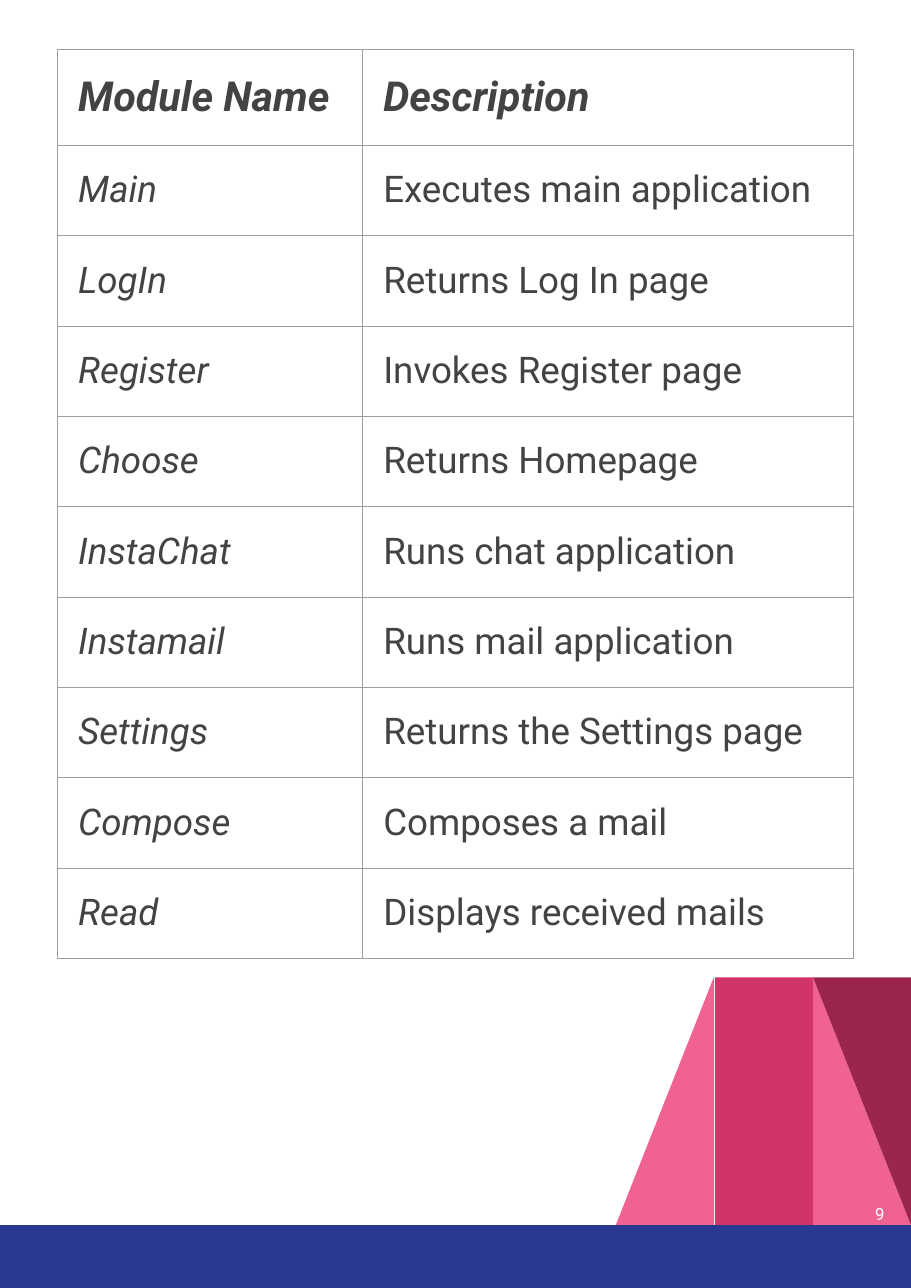
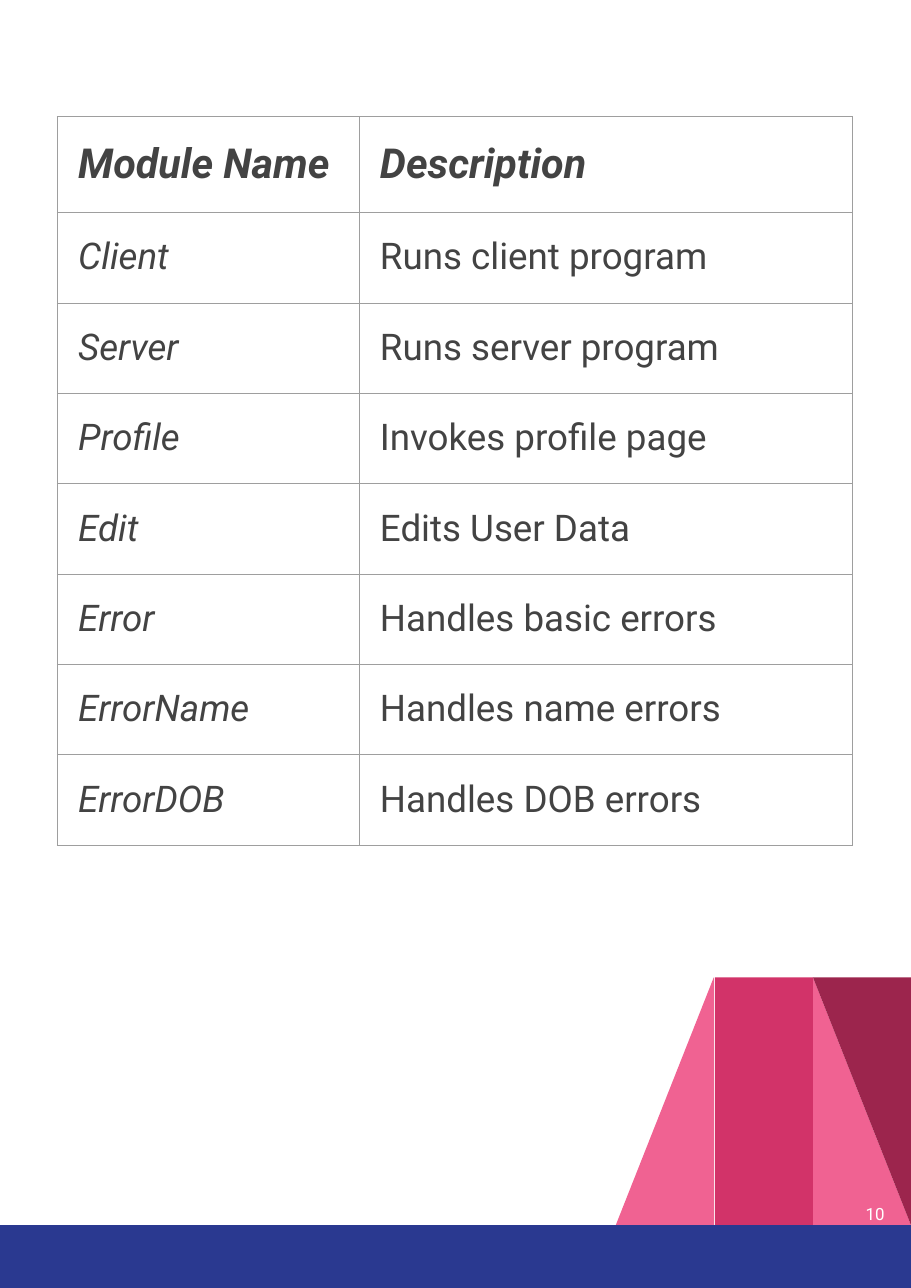
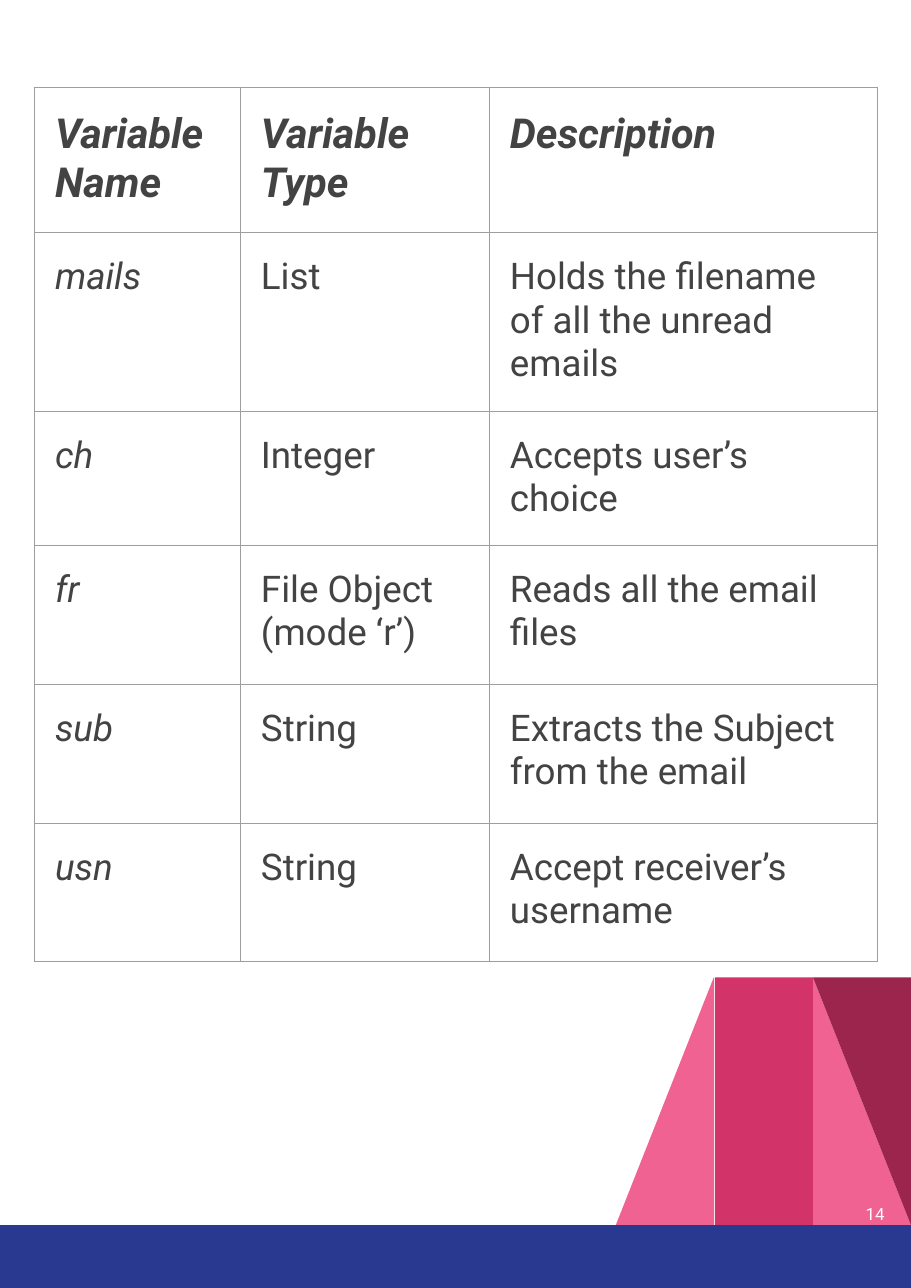
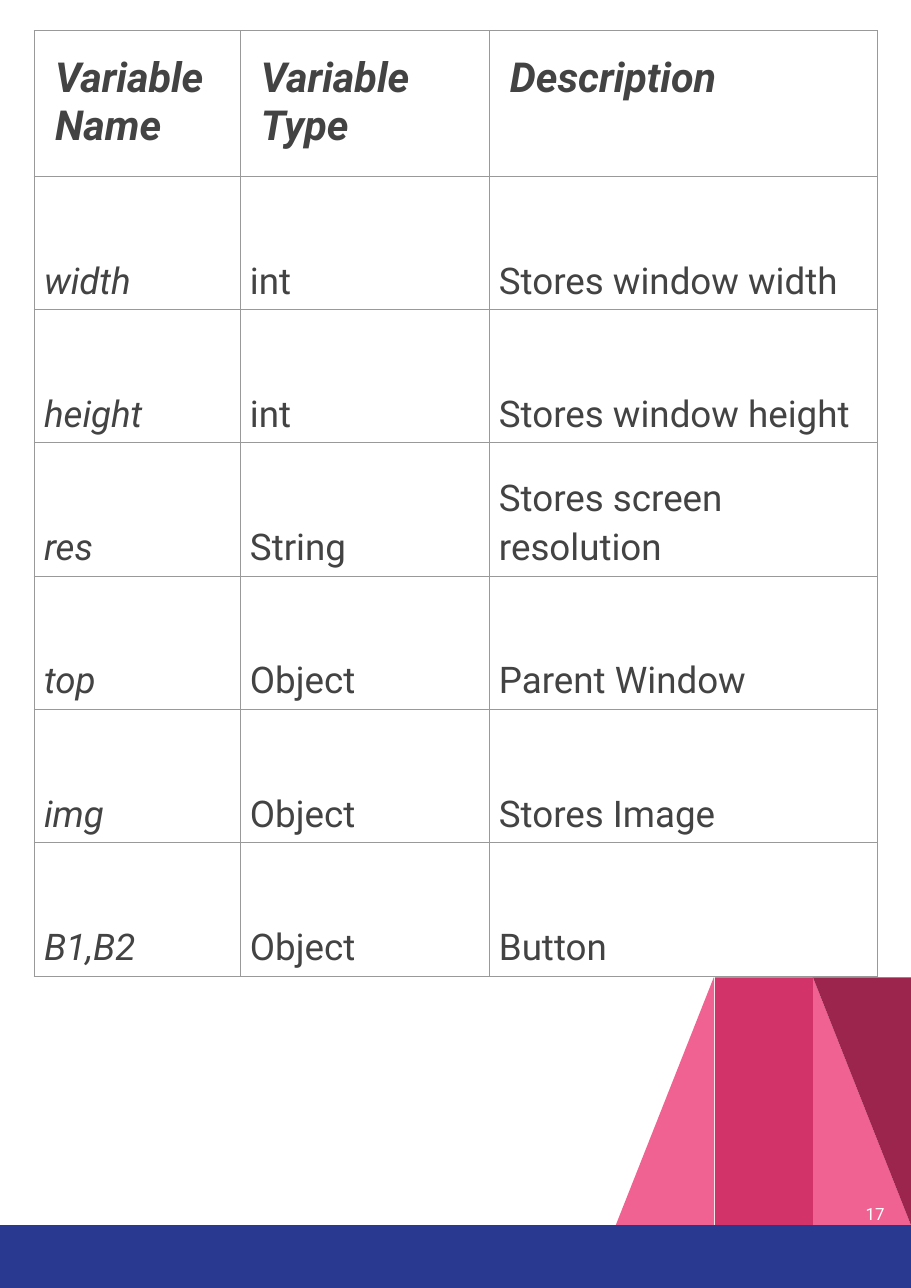
"""Builds four portrait pages of module and variable tables."""
from lxml import etree
from pptx import Presentation
from pptx import util as u
from pptx.dml.color import RGBColor
from pptx.enum import shapes, text
from pptx.oxml import ns

FONT = "Roboto"
COLOURS = {
    "pink": "F06292",
    "rose": "D23369",
    "wine": "9C254D",
    "navy": "2A3990",
    "ink": "434343",
    "white": "FFFFFF",
}
WIDE_INSETS = (0.19, 0.21)
TIGHT_INSETS = (0.09, 0.06)
MODULE_HEADER = ("Module Name", "Description")
VARIABLE_HEADER = ("Variable Name", "Variable Type", "Description")
VARIABLE_COLUMNS = (1.87, 2.26, 3.53)

PAGES = [
    {
        "number": "9", "left": 0.52, "top": 0.45, "border": "9E9E9E",
        "columns": (2.77, 4.46), "heights": [0.85] + [0.8] * 9,
        "rows": [
            MODULE_HEADER,
            ("Main", "Executes main application"),
            ("LogIn", "Returns Log In page"),
            ("Register", "Invokes Register page"),
            ("Choose", "Returns Homepage"),
            ("InstaChat", "Runs chat application"),
            ("Instamail", "Runs mail application"),
            ("Settings", "Returns the Settings page"),
            ("Compose", "Composes a mail"),
            ("Read", "Displays received mails"),
        ],
    },
    {
        "number": "10", "left": 0.52, "top": 1.06, "border": "9E9E9E",
        "columns": (2.74, 4.48), "heights": [0.85] + [0.8] * 7,
        "rows": [
            MODULE_HEADER,
            ("Client", "Runs client program"),
            ("Server", "Runs server program"),
            ("Profile", "Invokes profile page"),
            ("Edit", "Edits User Data"),
            ("Error", "Handles basic errors"),
            ("ErrorName", "Handles name errors"),
            ("ErrorDOB", "Handles DOB errors"),
        ],
    },
    {
        "number": "14", "left": 0.31, "top": 0.79, "border": "9E9E9E",
        "columns": VARIABLE_COLUMNS, "heights": [1.28, 1.59, 1.2] + [1.26] * 3,
        "rows": [
            VARIABLE_HEADER,
            ("mails", "List", "Holds the filename of all the unread emails"),
            ("ch", "Integer", "Accepts user’s choice"),
            ("fr", "File Object\n(mode ‘r’)", "Reads all the email files"),
            ("sub", "String", "Extracts the Subject from the email"),
            ("usn", "String", "Accept receiver’s username"),
        ],
    },
    {
        "number": "17", "left": 0.31, "top": 0.28, "border": "999999",
        "columns": VARIABLE_COLUMNS, "heights": [1.28] + [1.21] * 6,
        "tight_body": True,
        "rows": [
            VARIABLE_HEADER,
            ("width", "int", "Stores window width"),
            ("height", "int", "Stores window height"),
            ("res", "String", "Stores screen resolution"),
            ("top", "Object", "Parent Window"),
            ("img", "Object", "Stores Image"),
            ("B1,B2", "Object", "Button"),
        ],
    },
]


def add_run(paragraph, words, size, colour, bold=False, italic=False):
    run = paragraph.add_run()
    run.text = words
    run.font.name = FONT
    run.font.size = u.Pt(size)
    run.font.bold = bold
    run.font.italic = italic
    run.font.color.rgb = RGBColor.from_string(COLOURS[colour])


def set_borders(cell, colour):
    properties = cell._tc.get_or_add_tcPr()
    for position, side in enumerate(("lnL", "lnR", "lnT", "lnB")):
        line = etree.Element(ns.qn(f"a:{side}"), w=str(u.Pt(0.75)))
        fill = etree.SubElement(line, ns.qn("a:solidFill"))
        etree.SubElement(fill, ns.qn("a:srgbClr"), val=colour)
        properties.insert(position, line)


presentation = Presentation()
presentation.slide_width = u.Inches(8.27)
presentation.slide_height = u.Inches(11.69)
layout = presentation.slide_layouts[6]
for placeholder in list(layout.placeholders):
    layout.shapes.element.remove(placeholder.element)
slides = [presentation.slides.add_slide(layout) for page in PAGES]

triangle = shapes.MSO_SHAPE.RIGHT_TRIANGLE
rectangle = shapes.MSO_SHAPE.RECTANGLE
decorations = [
    (triangle, 7.38, 8.87, 0.89, 2.25, "pink", 0, False),
    (triangle, 5.59, 8.87, 0.89, 2.25, "pink", 0, True),
    (rectangle, 6.49, 8.87, 0.89, 2.25, "rose", 0, False),
    (triangle, 7.38, 8.87, 0.89, 2.25, "wine", 180, False),
    (rectangle, 0, 11.12, 8.27, 0.57, "navy", 0, False),
]
for preset, left, top, width, height, colour, rotation, flipped in decorations:
    shape = slides[0].shapes.add_shape(
        preset, u.Inches(left), u.Inches(top), u.Inches(width), u.Inches(height))
    shape.shadow.inherit = False
    shape.fill.solid()
    shape.fill.fore_color.rgb = RGBColor.from_string(COLOURS[colour])
    shape.line.fill.background()
    shape.rotation = rotation
    if flipped:
        shape.element.spPr.get_or_add_xfrm().set("flipH", "1")
    layout.shapes.element.append(shape.element)

for slide, page in zip(slides, PAGES):
    number_box = slide.shapes.add_textbox(
        u.Inches(7.65), u.Inches(10.57), u.Inches(0.5), u.Inches(0.89))
    frame = number_box.text_frame
    frame.word_wrap = True
    frame.vertical_anchor = text.MSO_ANCHOR.MIDDLE
    frame.margin_left = frame.margin_right = u.Inches(0.12)
    frame.margin_top = frame.margin_bottom = u.Inches(0.12)
    frame.paragraphs[0].alignment = text.PP_ALIGN.RIGHT
    add_run(frame.paragraphs[0], page["number"], 11, "white")

    table = slide.shapes.add_table(
        len(page["rows"]), len(page["columns"]),
        u.Inches(page["left"]), u.Inches(page["top"]),
        u.Inches(sum(page["columns"])), u.Inches(sum(page["heights"]))).table
    table.first_row = False
    table.horz_banding = False
    for column, width in zip(table.columns, page["columns"]):
        column.width = u.Inches(width)
    for row_index, (row, height) in enumerate(zip(table.rows, page["heights"])):
        row.height = u.Inches(height)
        header = row_index == 0
        tight = page.get("tight_body", False) and not header
        side, end = TIGHT_INSETS if tight else WIDE_INSETS
        for column_index, words in enumerate(page["rows"][row_index]):
            cell = table.cell(row_index, column_index)
            cell.fill.background()
            set_borders(cell, page["border"])
            cell.margin_left = cell.margin_right = u.Inches(side)
            cell.margin_top = cell.margin_bottom = u.Inches(end)
            cell.vertical_anchor = text.MSO_ANCHOR.BOTTOM if tight else text.MSO_ANCHOR.TOP
            for line_index, line in enumerate(words.split("\n")):
                frame = cell.text_frame
                paragraph = frame.add_paragraph() if line_index else frame.paragraphs[0]
                if tight:
                    paragraph.line_spacing = 1.15
                add_run(paragraph, line, 27 if header else 24, "ink",
                        bold=header, italic=header or column_index == 0)

presentation.save("out.pptx")
